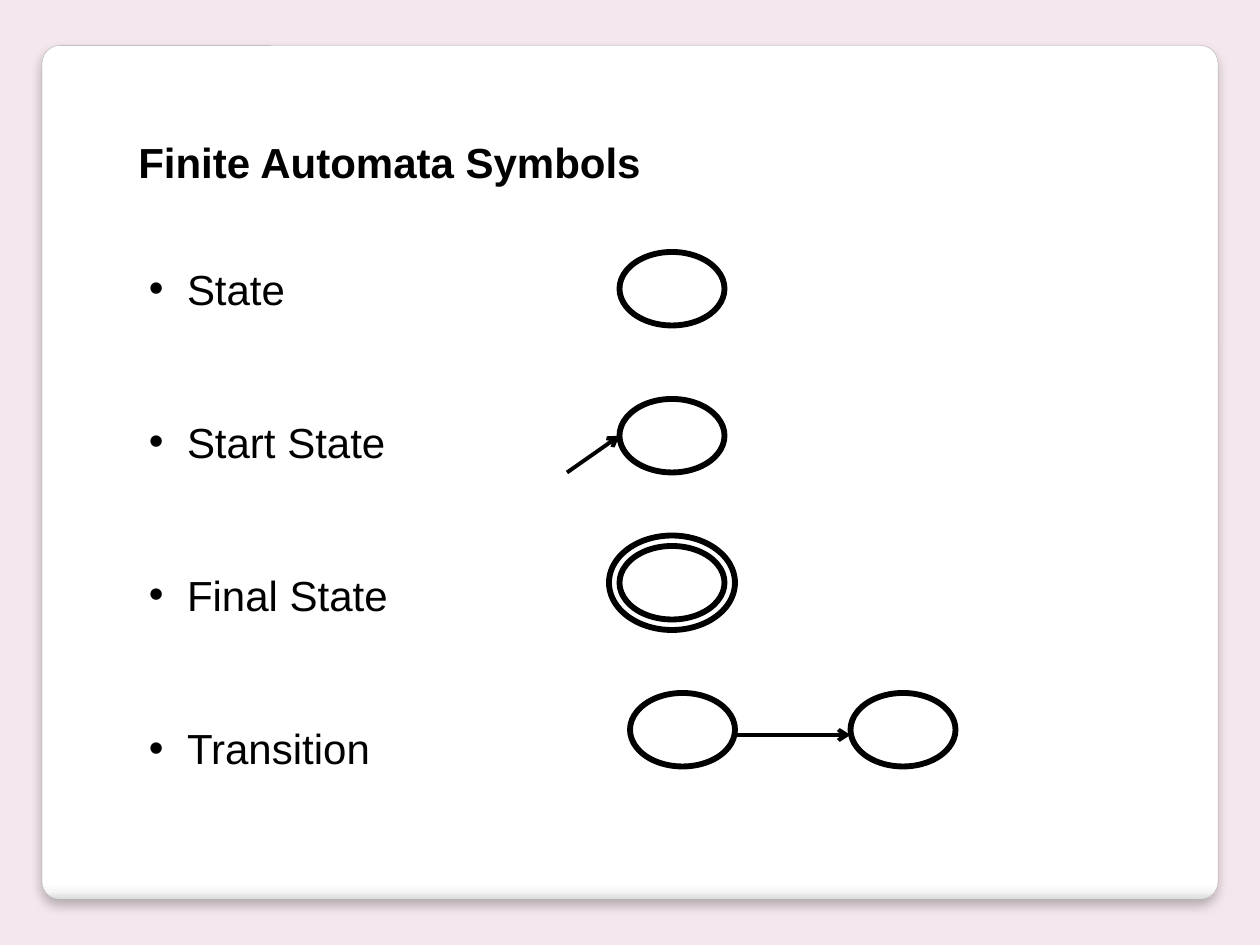
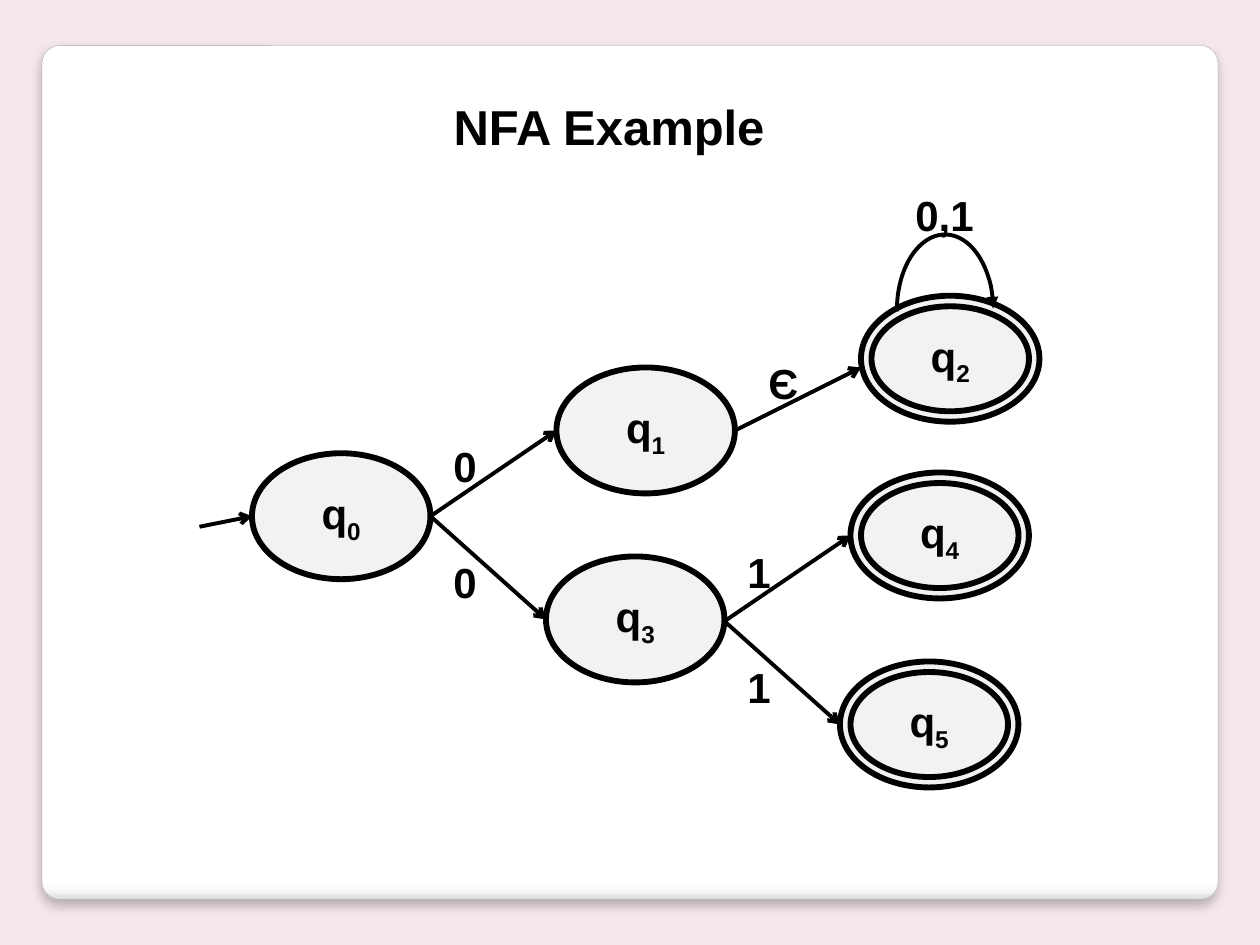
from lxml import etree
from pptx import Presentation
from pptx.dml.color import RGBColor
from pptx.enum.shapes import MSO_CONNECTOR as Connector, MSO_SHAPE as Preset
from pptx.enum.text import MSO_ANCHOR as Anchor, PP_ALIGN as Align
from pptx.oxml import parse_xml
from pptx.oxml.ns import nsdecls, qn
from pptx.util import Pt

BLACK = RGBColor(0x00, 0x00, 0x00)
PINK = RGBColor(0xF4, 0xE7, 0xED)
STATE_GREY = RGBColor(0xF2, 0xF2, 0xF2)
EDGE_GREY = RGBColor(0xA4, 0xA4, 0xA4)
PANEL_STOPS = ((0, "FFFFFF"), (98, "FFFFFF"), (99, "F7F7F7"), (100, "DADADA"))

BODY = {"name": "Arial", "size": Pt(24), "bold": False}
STRONG = {**BODY, "bold": True}
HEADING = {**STRONG, "size": Pt(28)}
SYMBOL_SIZE = (60, 42)
NODE_SIZE = (102, 72)
RING_GAP = 6


def points(*values):
    """Turn plain numbers into point lengths."""
    return [Pt(value) for value in values]


def add_run(paragraph, text, style):
    """Append a black run with the given font values."""
    run = paragraph.add_run()
    run.text = text
    for key, value in style.items():
        setattr(run.font, key, value)
    run.font.color.rgb = BLACK
    return run


def set_line(shape, width, color=BLACK):
    """Give a shape a solid outline."""
    shape.line.width = Pt(width)
    shape.line.color.rgb = color


def set_arrowhead(shape, kind):
    """Put an arrowhead at the end of a line."""
    etree.SubElement(shape.line._get_or_add_ln(), qn("a:tailEnd"), type=kind)


def add_panel(slide):
    """Draw the white rounded panel with its shaded foot and soft shadow."""
    panel = slide.shapes.add_shape(Preset.ROUNDED_RECTANGLE, *points(24, 26, 672, 488))
    panel.adjustments[0] = 0.021
    set_line(panel, 0.16, EDGE_GREY)
    stops = "".join(
        f'<a:gs pos="{position * 1000}"><a:srgbClr val="{color}"/></a:gs>'
        for position, color in PANEL_STOPS
    )
    gradient = parse_xml(
        f'<a:gradFill {nsdecls("a")} rotWithShape="1"><a:gsLst>{stops}</a:gsLst>'
        '<a:lin ang="5400000" scaled="0"/></a:gradFill>'
    )
    shadow = parse_xml(
        f'<a:effectLst {nsdecls("a")}><a:outerShdw blurRad="{Pt(6)}" dist="{Pt(4)}" '
        'dir="5400000" algn="t" rotWithShape="0"><a:srgbClr val="000000">'
        '<a:alpha val="25000"/></a:srgbClr></a:outerShdw></a:effectLst>'
    )
    properties = panel.element.spPr
    properties.find(qn("a:prstGeom")).addnext(gradient)
    properties.append(shadow)


def add_panel_slide(presentation):
    """Add a blank slide with the shared background and panel."""
    slide = presentation.slides.add_slide(presentation.slide_layouts[6])
    slide.background.fill.solid()
    slide.background.fill.fore_color.rgb = PINK
    add_panel(slide)
    return slide


def add_text(slide, box, text, style=STRONG, align=Align.LEFT):
    """Add a one-paragraph text box and return its frame."""
    frame = slide.shapes.add_textbox(*points(*box)).text_frame
    frame.word_wrap = True
    frame.margin_top = Pt(6.3)
    frame.paragraphs[0].alignment = align
    add_run(frame.paragraphs[0], text, style)
    return frame


def add_bullets(slide, box, items, gap):
    """Add a bulleted list with an equal gap between items."""
    frame = add_text(slide, box, items[0], BODY)
    for item in items[1:]:
        paragraph = frame.add_paragraph()
        paragraph.space_before = Pt(gap)
        add_run(paragraph, item, BODY)
    for paragraph in frame.paragraphs:
        properties = paragraph._p.get_or_add_pPr()
        properties.set("marL", str(Pt(21.8)))
        properties.set("indent", str(-Pt(21.8)))
        etree.SubElement(properties, qn("a:buFont"), typeface="Arial")
        etree.SubElement(properties, qn("a:buChar"), char="•")


def add_ellipse(slide, left, top, size, fill=None):
    """Draw a thick black ellipse, hollow unless a fill is given."""
    ellipse = slide.shapes.add_shape(Preset.OVAL, *points(left, top, *size))
    ellipse.shadow.inherit = False
    set_line(ellipse, 3.35)
    if fill is None:
        ellipse.fill.background()
    else:
        ellipse.fill.solid()
        ellipse.fill.fore_color.rgb = fill
    return ellipse


def add_ring(slide, left, top):
    """Draw the hollow inner ellipse of a final state."""
    width, height = NODE_SIZE
    size = (width - 2 * RING_GAP, height - 2 * RING_GAP)
    return add_ellipse(slide, left + RING_GAP, top + RING_GAP, size)


def add_node(slide, index, left, top, final=False):
    """Draw a state named q with a subscript, ringed if final."""
    node = add_ellipse(slide, left, top, NODE_SIZE, STATE_GREY)
    frame = node.text_frame
    frame.vertical_anchor = Anchor.MIDDLE
    paragraph = frame.paragraphs[0]
    paragraph.alignment = Align.CENTER
    add_run(paragraph, "q", STRONG)
    subscript = add_run(paragraph, str(index), STRONG)
    subscript.font._element.set("baseline", "-25000")
    if final:
        add_ring(slide, left, top)


def add_arrow(slide, start, end):
    """Draw a straight arrow between two points."""
    arrow = slide.shapes.add_connector(Connector.STRAIGHT, *points(*start, *end))
    set_line(arrow, 2.25)
    set_arrowhead(arrow, "arrow")
    etree.SubElement(arrow.element.spPr, qn("a:effectLst"))


def add_loop(slide, box):
    """Draw the arc of a transition from a state to itself."""
    loop = slide.shapes.add_shape(Preset.ARC, *points(*box))
    loop.rotation = 180
    loop.adjustments[0] = 214.8
    loop.adjustments[1] = 107.12
    loop.fill.background()
    loop.shadow.inherit = False
    set_line(loop, 2.25)
    set_arrowhead(loop, "triangle")


def build_symbols(presentation):
    """Build the slide that lists the automata symbols."""
    slide = add_panel_slide(presentation)
    add_text(slide, (72, 72, 618, 36), "Finite Automata Symbols")
    names = ("State", "Start State", "Final State", "Transition")
    add_bullets(slide, (78, 144, 360, 298), names, 58.7)
    for row in range(3):
        add_ellipse(slide, 354, 144 + 84 * row, SYMBOL_SIZE)
    add_ellipse(slide, 348, 306, (72, 54))
    for left in (360, 486):
        add_ellipse(slide, left, 396, SYMBOL_SIZE)
    add_arrow(slide, (420, 420), (486, 420))
    add_arrow(slide, (324, 270), (354, 249))


def build_example(presentation):
    """Build the slide with the example automaton."""
    slide = add_panel_slide(presentation)
    nodes = (
        (0, 144, 259, False),
        (1, 318, 210, False),
        (2, 492, 169, True),
        (3, 312, 318, False),
        (4, 486, 270, True),
        (5, 480, 378, True),
    )
    for node in nodes:
        add_node(slide, *node)
    arrows = (
        ((114, 301), (144, 295)),
        ((246, 295), (318, 246)),
        ((246, 295), (312, 354)),
        ((420, 246), (492, 210)),
        ((414, 355), (486, 306)),
        ((414, 355), (480, 414)),
    )
    for start, end in arrows:
        add_arrow(slide, start, end)
    add_loop(slide, (512.5, 134, 55, 86))
    labels = (
        ("0", 252, 245.5),
        ("0", 252, 312),
        ("Є", 432, 198),
        ("0,1", 516, 102),
        ("1", 420, 306),
        ("1", 420, 371.5),
    )
    for text, left, top in labels:
        add_text(slide, (left, top, 60, 36), text)
    add_text(slide, (150, 49, 396, 41), "NFA Example", HEADING, Align.CENTER)


def main():
    """Build and save the presentation."""
    presentation = Presentation()
    presentation.slide_width, presentation.slide_height = points(720, 540)
    build_symbols(presentation)
    build_example(presentation)
    presentation.save("out.pptx")


if __name__ == "__main__":
    main()
